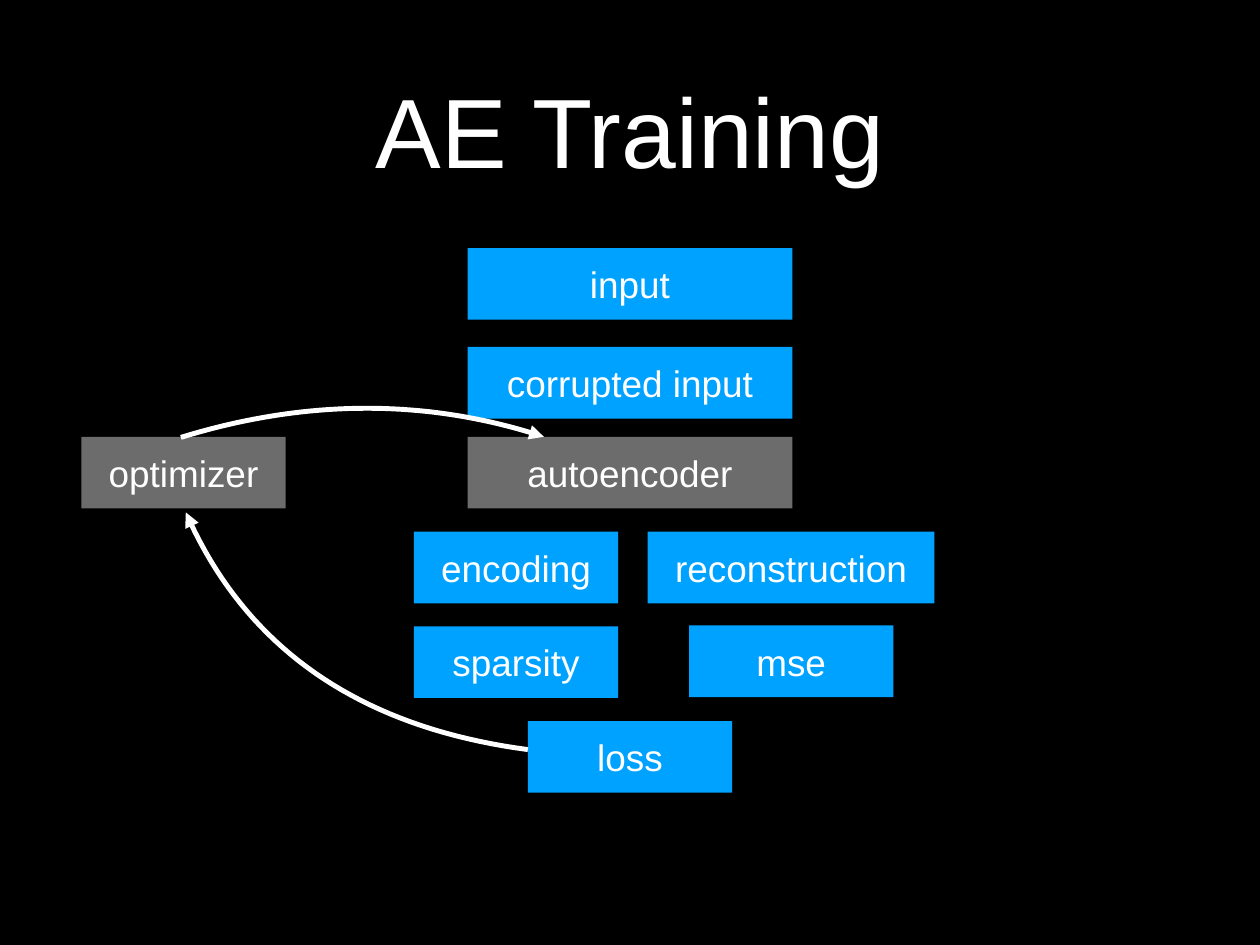
"""Build the AE Training slide: data boxes, model boxes and the optimizer loop."""
import pptx
import pptx.util
import pptx.dml.color
import pptx.enum.shapes
import pptx.enum.text
import pptx.oxml.ns
import lxml.etree

Pt = pptx.util.Pt
RGB = pptx.dml.color.RGBColor
BLACK = RGB(0x00, 0x00, 0x00)
WHITE = RGB(0xFF, 0xFF, 0xFF)
BLUE = RGB(0x00, 0xA2, 0xFF)
GRAY = RGB(0x6C, 0x6C, 0x6C)
HIGH = 58.2
STEPS = 40


def write(shape, words, size):
    frame = shape.text_frame
    frame.word_wrap = True
    frame.auto_size = pptx.enum.text.MSO_AUTO_SIZE.NONE
    frame.vertical_anchor = pptx.enum.text.MSO_ANCHOR.MIDDLE
    frame.margin_left = frame.margin_right = Pt(4)
    frame.margin_top = frame.margin_bottom = Pt(4)
    para = frame.paragraphs[0]
    para.alignment = pptx.enum.text.PP_ALIGN.CENTER
    run = para.add_run()
    run.text = words
    run.font.name = "Arial"
    run.font.size = Pt(size)
    run.font.color.rgb = WHITE


def bend(nodes, step):
    t = step / STEPS
    u = 1 - t
    parts = (u ** 3, 3 * u * u * t, 3 * u * t * t, t ** 3)
    return tuple(Pt(sum(p * node[axis] for p, node in zip(parts, nodes))) for axis in (0, 1))


deck = pptx.Presentation()
deck.slide_width, deck.slide_height = Pt(1024), Pt(768)
slide = deck.slides.add_slide(deck.slide_layouts[5])
slide.background.fill.solid()
slide.background.fill.fore_color.rgb = BLACK

title = slide.shapes.title
title.left, title.top, title.width, title.height = Pt(75), Pt(20), Pt(874), Pt(170)
write(title, "AE Training", 80)

boxes = [
    ("corrupted input", 380, 282, 264, BLUE),
    ("input", 380, 201.6, 264, BLUE),
    ("autoencoder", 380, 355, 264, GRAY),
    ("encoding", 336.4, 432.1, 166, BLUE),
    ("reconstruction", 526.4, 432.1, 233, BLUE),
    ("sparsity", 336.4, 509, 166, BLUE),
    ("mse", 560, 508.3, 166, BLUE),
    ("loss", 429, 586, 166, BLUE),
    ("optimizer", 66.2, 355, 166, GRAY),
]
for words, left, top, width, color in boxes:
    box = slide.shapes.add_shape(
        pptx.enum.shapes.MSO_SHAPE.RECTANGLE, Pt(left), Pt(top), Pt(width), Pt(HIGH))
    box.shadow.inherit = False
    box.fill.solid()
    box.fill.fore_color.rgb = color
    box.line.fill.background()
    write(box, words, 30)

arrows = [
    [(429, 609.2), (291, 591), (199, 526), (151, 416.4)],
    [(147, 355.5), (249, 324), (348, 324), (442, 355)],
]
for nodes in arrows:
    pen = slide.shapes.build_freeform(*bend(nodes, 0))
    pen.add_line_segments([bend(nodes, step) for step in range(1, STEPS + 1)], close=False)
    arrow = pen.convert_to_shape()
    arrow.shadow.inherit = False
    arrow.fill.background()
    arrow.line.color.rgb = WHITE
    arrow.line.width = Pt(4)
    stroke = arrow.element.spPr.find(pptx.oxml.ns.qn("a:ln"))
    lxml.etree.SubElement(stroke, pptx.oxml.ns.qn("a:tailEnd"), type="triangle")

deck.save("out.pptx")
